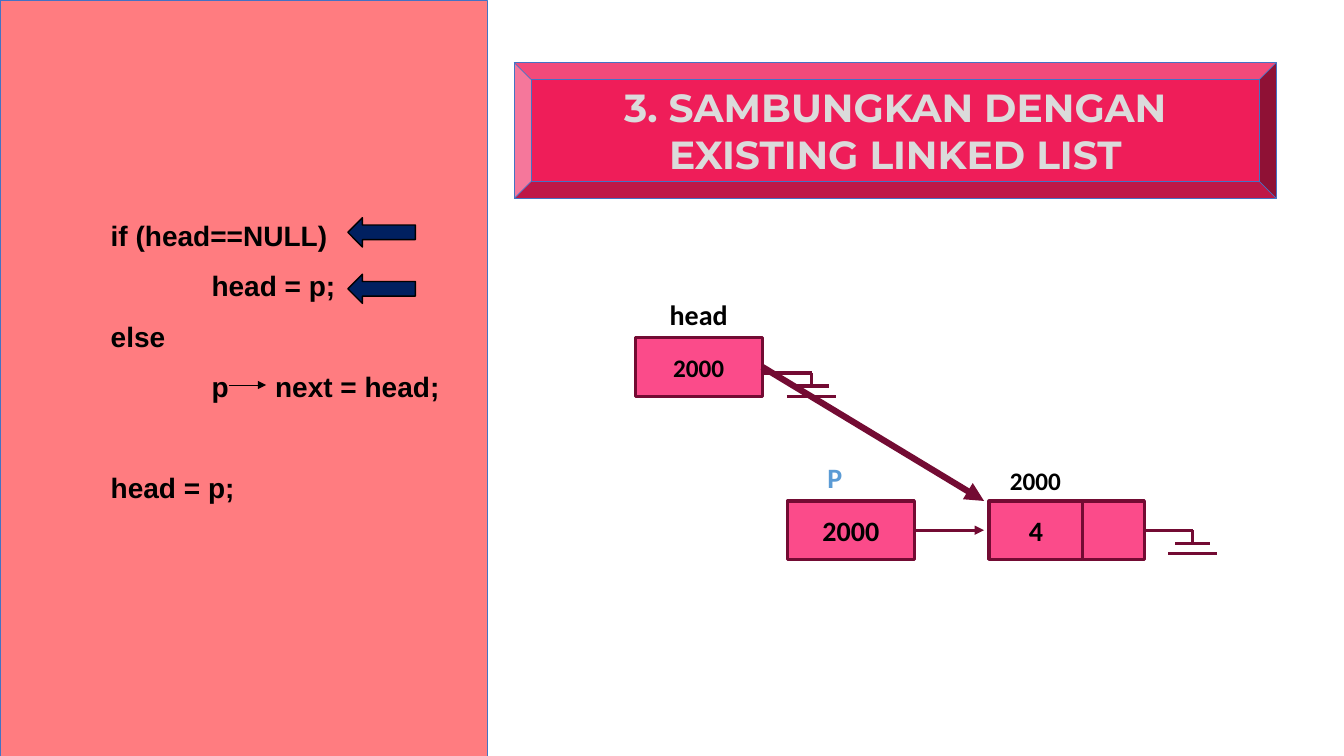
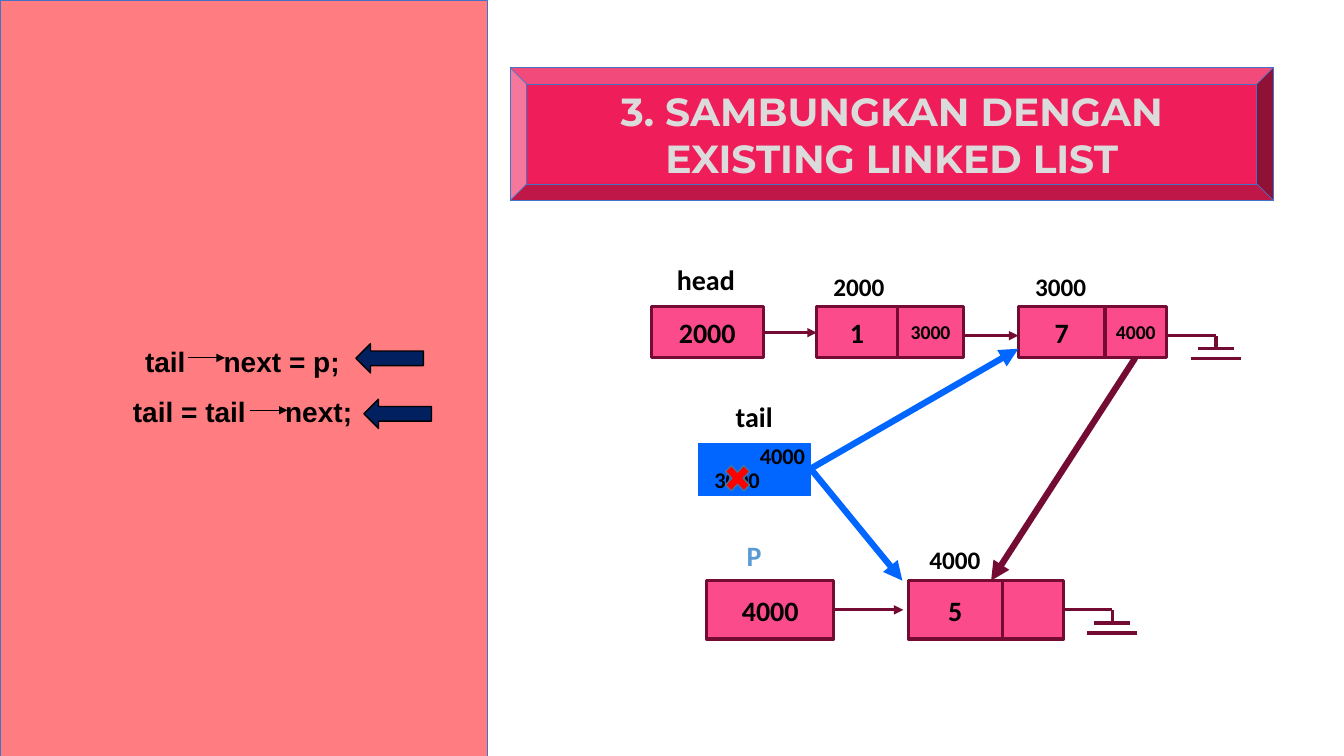
from lxml import etree
from pptx import Presentation
from pptx.dml.color import RGBColor
from pptx.enum import shapes, text
from pptx.oxml import ns
from pptx.util import Inches, Pt

WIDTH, HEIGHT = 13.33, 7.5
PANEL_WIDTH = 4.83
INSET = 0.1
LARGE, SMALL = 0.58, 0.51  # heights of list boxes
TITLE = "3. SAMBUNGKAN DENGAN EXISTING LINKED LIST"
COLOURS = {
    "panel": "FF7C80", "border": "4472C4", "title": "EF1D59", "title text": "DBDBDB",
    "box": "FB4B8A", "wine": "730B33", "blue": "0066FF", "navy": "002060",
    "pointer": "5B9BD5", "black": "000000", "red": "FF0000", "cross edge": "43739E",
}

# code: lines of (tab stop, words), with the space before the line in points
# boxes: left, top, height, then cells of (width, words, text size)
# labels: centre, words, size, colour
# links: start, end, colour, line width
SLIDES = [
    {
        "title": (5.1, 0.62, 7.56, 1.35),
        "code": [
            (0, [(1, "if (head==NULL)")]),
            (0, [(2, "head = p;")]),
            (0, [(1, "else")]),
            (0, [(2, "p"), (2.63, "next = head;")]),
            (36, [(1, "head = p;")]),
        ],
        "code bottom": 0.55,
        "code links": [(2.27, 3.82)],
        "steps": [(3.45, 2.16), (3.45, 2.72)],
        "boxes": [
            (6.3, 3.35, LARGE, [(1.26, "2000", 18)]),
            (7.81, 4.97, LARGE, [(1.26, "2000", 20)]),
            (9.81, 4.97, LARGE, [(0.93, "4", 20), (0.61, "", 20)]),
        ],
        "grounds": [(7.56, 3.7), (11.34, 5.26)],
        "labels": [
            ((6.93, 3.12), "head", 20, "black"),
            ((8.28, 4.74), "P", 20, "pointer"),
            ((10.27, 4.77), "2000", 18, "black"),
        ],
        "links": [
            ((9.07, 5.26), (9.76, 5.26), "wine", 2.25),
            ((7.56, 3.64), (9.76, 4.97), "wine", 4.5),
        ],
    },
    {
        "title": (5.06, 0.67, 7.57, 1.32),
        "code": [
            (0, [(1.34, "tail"), (2.12, "next = p;")]),
            (0, [(1.22, "tail = tail"), (2.73, "next;")]),
        ],
        "code bottom": 0.05,
        "code links": [(1.86, 3.55), (2.48, 4.07)],
        "steps": [(3.53, 3.41), (3.61, 3.96)],
        "boxes": [
            (6.46, 3.04, SMALL, [(1.11, "2000", 20)]),
            (8.1, 3.04, SMALL, [(0.8, "1", 20), (0.66, "3000", 14)]),
            (10.1, 3.04, SMALL, [(0.86, "7", 20), (0.61, "4000", 14)]),
            (7.01, 5.76, LARGE, [(1.26, "4000", 20)]),
            (9.01, 5.76, LARGE, [(0.93, "5", 20), (0.61, "", 20)]),
        ],
        "grounds": [(11.57, 3.33), (10.54, 6.05)],
        "tail box": (6.93, 4.4, 1.11, SMALL),
        "labels": [
            ((7.0, 2.77), "head", 20, "black"),
            ((8.52, 2.84), "2000", 18, "black"),
            ((10.52, 2.84), "3000", 18, "black"),
            ((7.48, 4.13), "tail", 20, "black"),
            ((7.31, 4.76), "3000", 16, "black"),
            ((7.76, 4.52), "4000", 16, "black"),
            ((7.48, 5.51), "P", 20, "pointer"),
            ((9.47, 5.55), "4000", 18, "black"),
        ],
        "cross": (7.14, 4.56, 0.35, 0.37),
        "links": [
            ((7.56, 3.3), (8.1, 3.3), "wine", 2.25),
            ((9.56, 3.33), (10.1, 3.33), "wine", 2.25),
            ((8.27, 6.05), (8.96, 6.05), "wine", 2.25),
            ((8.04, 4.65), (10.1, 3.46), "blue", 4.5),
            ((11.26, 3.55), (9.83, 5.76), "wine", 4.5),
            ((8.04, 4.65), (8.95, 5.76), "blue", 4.5),
        ],
    },
]


def colour(name):
    return RGBColor.from_string(COLOURS[name])


def add_shape(slide, kind, box, fill, edge, edge_width):
    shape = slide.shapes.add_shape(kind, *map(Inches, box))
    shape.shadow.inherit = False
    shape.fill.solid()
    shape.fill.fore_color.rgb = colour(fill)
    shape.line.color.rgb = colour(edge)
    shape.line.width = Pt(edge_width)
    return shape


def add_words(paragraph, words, size, ink="black", font="Calibri"):
    run = paragraph.add_run()
    run.text = words
    run.font.name = font
    run.font.size = Pt(size)
    run.font.bold = True
    run.font.color.rgb = colour(ink)


def add_centred(shape, words, size, ink="black", font="Calibri", inset=0):
    frame = shape.text_frame
    frame.word_wrap = True
    frame.vertical_anchor = text.MSO_ANCHOR.MIDDLE
    frame.margin_left = frame.margin_right = Inches(inset)
    paragraph = frame.paragraphs[0]
    paragraph.alignment = text.PP_ALIGN.CENTER
    add_words(paragraph, words, size, ink, font)


def add_line(slide, start, end, ink="wine", width=2.25, arrow=True):
    line = slide.shapes.add_connector(
        shapes.MSO_CONNECTOR.STRAIGHT, *map(Inches, (*start, *end)))
    line.line.color.rgb = colour(ink)
    line.line.width = Pt(width)
    properties = line._element.spPr
    if arrow:
        outline = properties.find(ns.qn("a:ln"))
        etree.SubElement(outline, ns.qn("a:tailEnd"), type="triangle")
    etree.SubElement(properties, ns.qn("a:effectLst"))


def add_ground(slide, left, top):
    """Draw the earth symbol that stands for a NULL pointer."""
    stem = left + 0.49
    add_line(slide, (left, top), (stem, top), arrow=False)
    add_line(slide, (stem, top), (stem, top + 0.13), arrow=False)
    for drop, width in ((0.13, 0.35), (0.23, 0.49)):
        add_line(slide, (stem - width / 2, top + drop),
                 (stem + width / 2, top + drop), arrow=False)


def add_panel(slide, content):
    panel = add_shape(slide, shapes.MSO_SHAPE.RECTANGLE,
                      (0, 0, PANEL_WIDTH, HEIGHT), "panel", "border", 0.5)
    frame = panel.text_frame
    frame.word_wrap = True
    frame.vertical_anchor = text.MSO_ANCHOR.MIDDLE
    frame.margin_left = Inches(INSET)
    frame.margin_bottom = Inches(content["code bottom"])
    for number, (space, parts) in enumerate(content["code"]):
        paragraph = frame.add_paragraph() if number else frame.paragraphs[0]
        paragraph.alignment = text.PP_ALIGN.LEFT
        paragraph.line_spacing = 1.5
        paragraph.space_before = Pt(space)
        stops = etree.SubElement(paragraph._element.get_or_add_pPr(), ns.qn("a:tabLst"))
        for stop, words in parts:
            etree.SubElement(stops, ns.qn("a:tab"), pos=str(Inches(stop)), algn="l")
            add_words(paragraph, "\t" + words, 20, font="Arial")
    for left, top in content["code links"]:
        add_line(slide, (left, top), (left + 0.37, top), "black", 0.5)
    for left, top in content["steps"]:
        add_shape(slide, shapes.MSO_SHAPE.LEFT_ARROW, (left, top, 0.67, 0.29),
                  "navy", "black", 1)


def add_diagram(slide, content):
    for left, top, height, cells in content["boxes"]:
        for width, words, size in cells:
            cell = add_shape(slide, shapes.MSO_SHAPE.RECTANGLE,
                             (left, top, width, height), "box", "wine", 2.25)
            if words:
                add_centred(cell, words, size)
            left += width
    for left, top in content["grounds"]:
        add_ground(slide, left, top)
    if "tail box" in content:
        add_shape(slide, shapes.MSO_SHAPE.RECTANGLE, content["tail box"],
                  "blue", "blue", 0.5)
    for (x, y), words, size, ink in content["labels"]:
        width, height = 0.95, 0.4
        label = slide.shapes.add_textbox(
            *map(Inches, (x - width / 2, y - height / 2, width, height)))
        add_centred(label, words, size, ink)
    if "cross" in content:
        add_shape(slide, shapes.MSO_SHAPE.MATH_MULTIPLY, content["cross"],
                  "red", "cross edge", 1)
    for link in content["links"]:
        add_line(slide, *link)


def main():
    presentation = Presentation()
    presentation.slide_width, presentation.slide_height = Inches(WIDTH), Inches(HEIGHT)
    for content in SLIDES:
        slide = presentation.slides.add_slide(presentation.slide_layouts[6])
        title = add_shape(slide, shapes.MSO_SHAPE.BEVEL, content["title"],
                          "title", "border", 0.5)
        add_centred(title, TITLE, 28, "title text", "Montserrat", INSET)
        add_panel(slide, content)
        add_diagram(slide, content)
    presentation.save("out.pptx")


if __name__ == "__main__":
    main()
